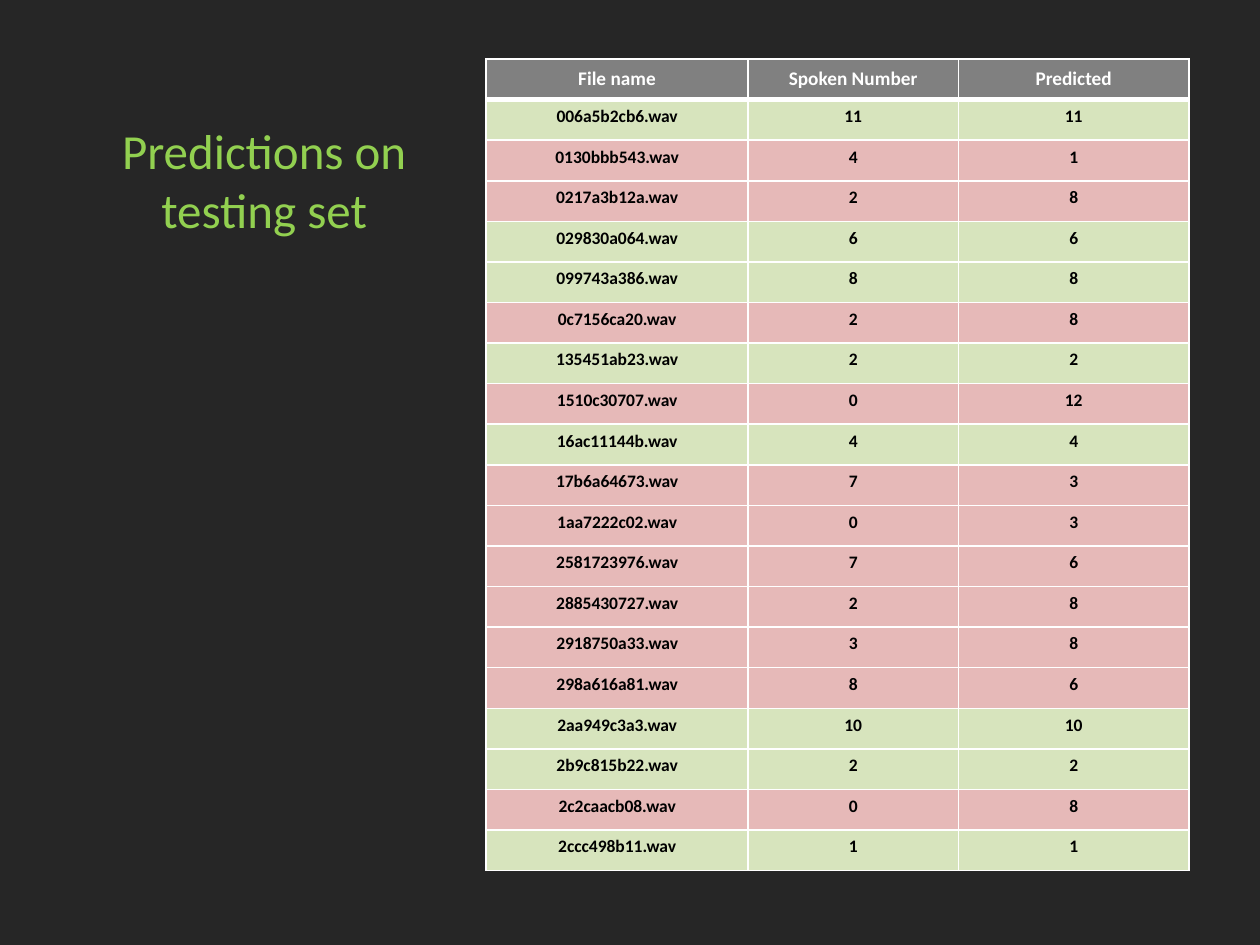
from collections import namedtuple
from dataclasses import dataclass

from lxml.etree import SubElement
from pptx import Presentation
from pptx.dml.color import RGBColor
from pptx.enum.text import MSO_ANCHOR, PP_ALIGN
from pptx.oxml.ns import qn
from pptx.util import Cm, Pt

Box = namedtuple("Box", "left top width height")


@dataclass(frozen=True)
class Theme:
    """Colours, font and type sizes of the slide."""
    font: str = "Calibri"
    background: str = "262626"
    title: str = "92D050"
    header: str = "808080"
    header_text: str = "FFFFFF"
    body_text: str = "000000"
    border: str = "FFFFFF"
    correct: str = "D7E4BD"
    wrong: str = "E6B9B8"
    title_size: int = 28
    header_size: int = 11
    body_size: int = 10


THEME = Theme()
TITLE_BOX = Box(1.73, 2.11, 7.19, 3.02)
TABLE_BOX = Box(9.8, 1.19, 14.17, 16.36)
COLUMN_WIDTHS = (5.28, 4.24, 4.65)
HEADINGS = ("File name", "Spoken Number", "Predicted")
PREDICTIONS = (
    ("006a5b2cb6.wav", 11, 11),
    ("0130bbb543.wav", 4, 1),
    ("0217a3b12a.wav", 2, 8),
    ("029830a064.wav", 6, 6),
    ("099743a386.wav", 8, 8),
    ("0c7156ca20.wav", 2, 8),
    ("135451ab23.wav", 2, 2),
    ("1510c30707.wav", 0, 12),
    ("16ac11144b.wav", 4, 4),
    ("17b6a64673.wav", 7, 3),
    ("1aa7222c02.wav", 0, 3),
    ("2581723976.wav", 7, 6),
    ("2885430727.wav", 2, 8),
    ("2918750a33.wav", 3, 8),
    ("298a616a81.wav", 8, 6),
    ("2aa949c3a3.wav", 10, 10),
    ("2b9c815b22.wav", 2, 2),
    ("2c2caacb08.wav", 0, 8),
    ("2ccc498b11.wav", 1, 1),
)


def write_text(frame, text, *, size, color, bold=False):
    """Write one centred paragraph into a text frame."""
    frame.word_wrap = True
    para = frame.paragraphs[0]
    para.alignment = PP_ALIGN.CENTER
    span = para.add_run()
    span.text = text
    span.font.name = THEME.font
    span.font.size = Pt(size)
    span.font.bold = bold
    span.font.color.rgb = RGBColor.from_string(color)


def set_borders(cell, **widths):
    """Draw the named cell edges (L, R, T, B) at the given point widths."""
    properties = cell._tc.get_or_add_tcPr()
    for position, (edge, width) in enumerate(widths.items()):
        line = SubElement(properties, qn(f"a:ln{edge}"), w=str(Pt(width)))
        fill = SubElement(line, qn("a:solidFill"))
        SubElement(fill, qn("a:srgbClr"), val=THEME.border)
        properties.insert(position, line)


def fill_row(cells, values, *, fill, anchor, top=1, bottom=1, **text_format):
    """Fill one table row with values in a shared format."""
    for cell, value in zip(cells, values):
        cell.fill.solid()
        cell.fill.fore_color.rgb = RGBColor.from_string(fill)
        cell.vertical_anchor = anchor
        set_borders(cell, L=1, R=1, T=top, B=bottom)
        write_text(cell.text_frame, str(value), bold=True, **text_format)


def add_title(page, box, text):
    """Place the slide title in the middle of its box."""
    frame = page.shapes.add_textbox(*map(Cm, box)).text_frame
    frame.vertical_anchor = MSO_ANCHOR.MIDDLE
    write_text(frame, text, size=THEME.title_size, color=THEME.title)


def add_predictions(page, box):
    """Place the prediction table, with rows coloured by correctness."""
    row_count = len(PREDICTIONS) + 1
    table = page.shapes.add_table(row_count, len(HEADINGS), *map(Cm, box)).table
    for column, width in zip(table.columns, COLUMN_WIDTHS):
        column.width = Cm(width)
    for row in table.rows:
        row.height = Cm(box.height / row_count)

    header, *body = table.rows
    fill_row(header.cells, HEADINGS, fill=THEME.header, anchor=MSO_ANCHOR.MIDDLE,
             bottom=3, size=THEME.header_size, color=THEME.header_text)
    for index, (row, values) in enumerate(zip(body, PREDICTIONS)):
        _, spoken, predicted = values
        fill_row(row.cells, values, anchor=MSO_ANCHOR.TOP, top=1 if index else 3,
                 fill=THEME.correct if spoken == predicted else THEME.wrong,
                 size=THEME.body_size, color=THEME.body_text)


def main():
    """Build the deck and save it."""
    deck = Presentation()
    deck.slide_width, deck.slide_height = Cm(25.4), Cm(19.05)
    page = deck.slides.add_slide(deck.slide_layouts[6])
    page.background.fill.solid()
    page.background.fill.fore_color.rgb = RGBColor.from_string(THEME.background)
    add_predictions(page, TABLE_BOX)
    add_title(page, TITLE_BOX, "Predictions on testing set")
    deck.save("out.pptx")


if __name__ == "__main__":
    main()
